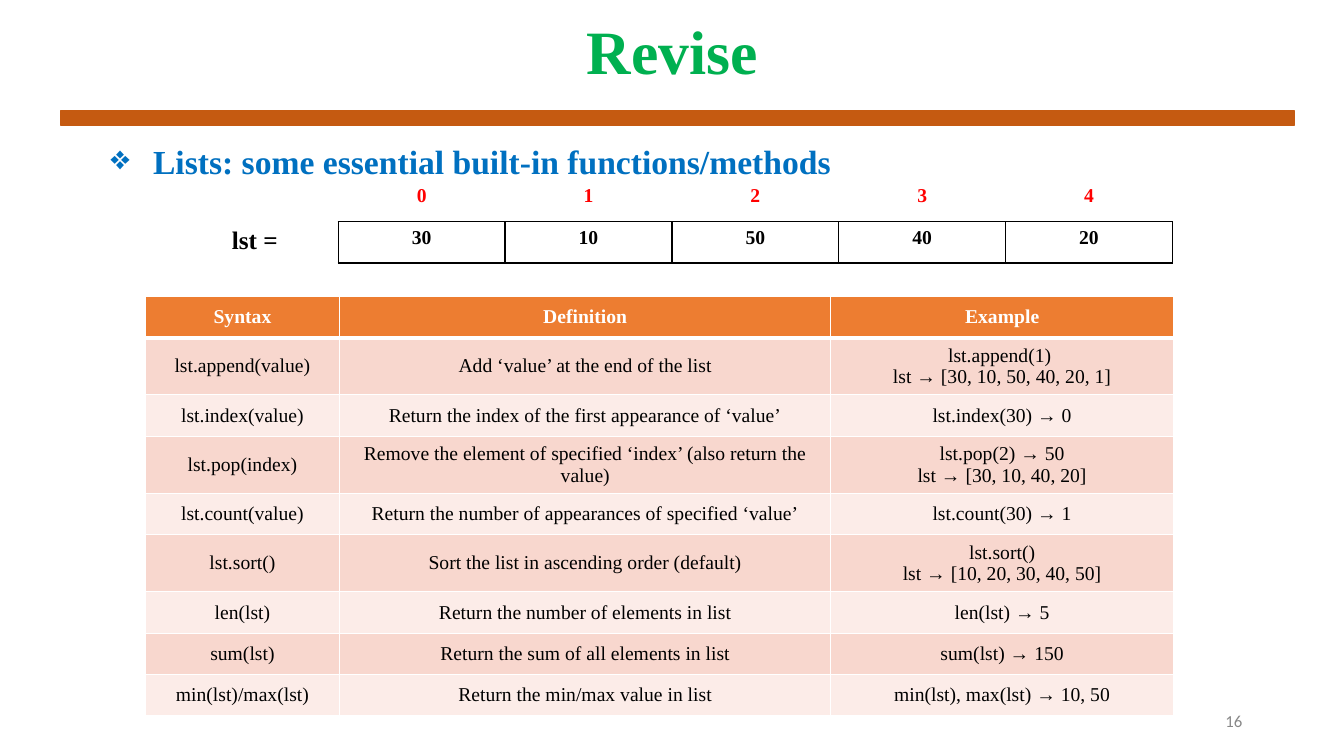
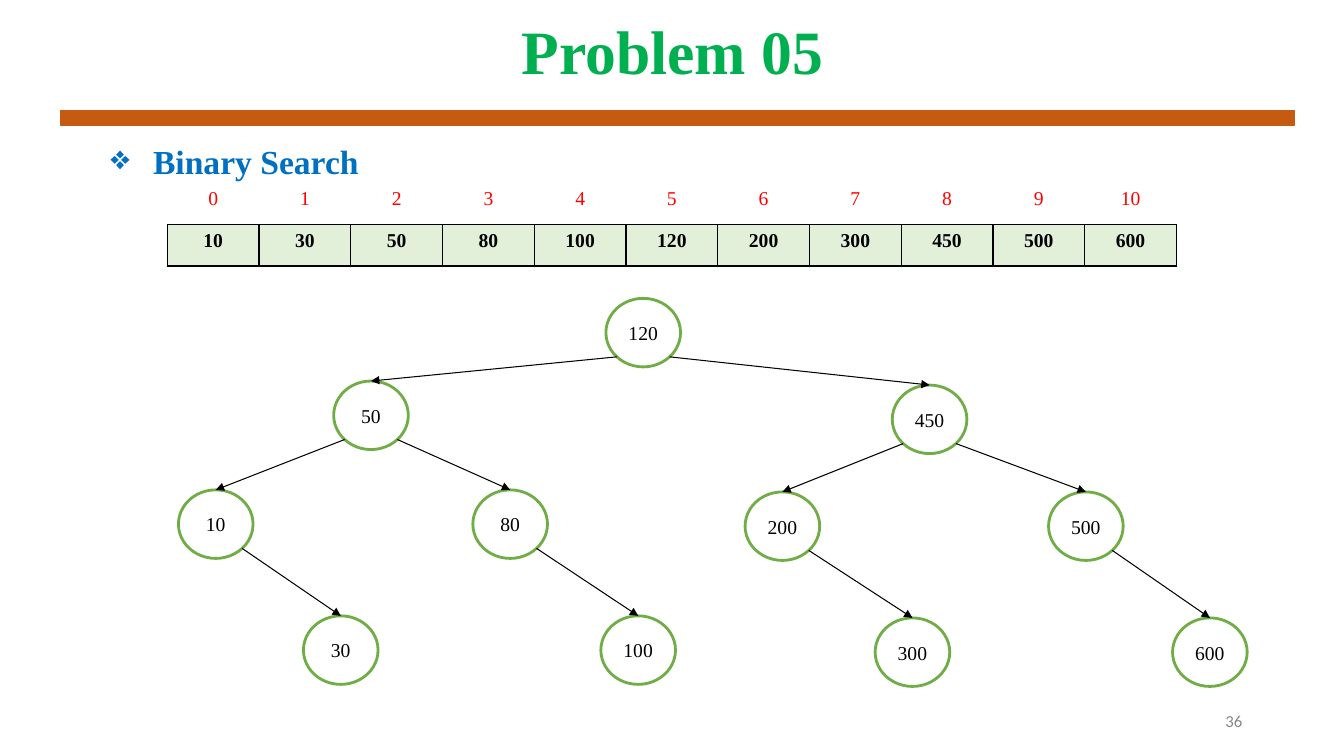
from math import sqrt
from lxml.etree import SubElement
from pptx import Presentation
from pptx.dml.color import RGBColor
from pptx.enum.shapes import MSO_CONNECTOR, MSO_SHAPE
from pptx.enum.text import MSO_ANCHOR, PP_ALIGN
from pptx.oxml.ns import qn
from pptx.util import Inches, Pt

GREEN = RGBColor(0x00, 0xB0, 0x50)
BLUE = RGBColor(0x00, 0x70, 0xC0)
RUST = RGBColor(0xC5, 0x5A, 0x11)
GREY = RGBColor(0x88, 0x88, 0x88)
RED = RGBColor(0xFF, 0x00, 0x00)
BLACK = RGBColor(0x00, 0x00, 0x00)
WHITE = RGBColor(0xFF, 0xFF, 0xFF)
ORANGE = RGBColor(0xED, 0x7D, 0x31)
BANDS = (RGBColor(0xF8, 0xD7, 0xCE), RGBColor(0xFC, 0xEC, 0xE8))
PALE_GREEN = RGBColor(0xE2, 0xF0, 0xD9)
NODE_GREEN = RGBColor(0x70, 0xAD, 0x47)
SERIF = "Times New Roman"
ROW_H = 0.41
NODE_W, NODE_H = 0.74, 0.68

LIST_VALUES = [30, 10, 50, 40, 20]
METHODS = [
    ("Syntax", "Definition", "Example"),
    ("lst.append(value)", "Add ‘value’ at the end of the list",
     "lst.append(1) \nlst → [30, 10, 50, 40, 20, 1]"),
    ("lst.index(value)", "Return the index of the first appearance of ‘value’",
     "lst.index(30) → 0"),
    ("lst.pop(index)",
     "Remove the element of specified ‘index’ (also return the value)",
     "lst.pop(2) → 50\nlst → [30, 10, 40, 20]"),
    ("lst.count(value)", "Return the number of appearances of specified ‘value’",
     "lst.count(30) → 1"),
    ("lst.sort()", "Sort the list in ascending order (default)",
     "lst.sort()\nlst → [10, 20, 30, 40, 50]"),
    ("len(lst)", "Return the number of elements in list", "len(lst) → 5"),
    ("sum(lst)", "Return the sum of all elements in list", "sum(lst) → 150"),
    ("min(lst)/max(lst)", "Return the min/max value in list",
     "min(lst), max(lst) → 10, 50"),
]
METHOD_COLS = (1.93, 4.87, 3.4)

SORTED_VALUES = [10, 30, 50, 80, 100, 120, 200, 300, 450, 500, 600]
NODES = {
    120: (6.01, 2.96),
    50: (3.31, 3.78), 450: (8.85, 3.82),
    10: (1.77, 4.86), 80: (4.69, 4.86), 200: (7.39, 4.88), 500: (10.4, 4.88),
    30: (3.01, 6.11), 100: (5.96, 6.11), 300: (8.68, 6.13), 600: (11.63, 6.13),
}
EDGES = [(120, 50), (120, 450), (50, 10), (50, 80), (450, 200), (450, 500),
         (10, 30), (80, 100), (200, 300), (500, 600)]


def write(tf, text, size, color, bold=False, align=PP_ALIGN.CENTER, font=SERIF):
    for i, line in enumerate(str(text).split("\n")):
        p = tf.add_paragraph() if i else tf.paragraphs[0]
        p.alignment = align
        r = p.add_run()
        r.text = line
        r.font.name, r.font.size, r.font.bold = font, Pt(size), bold
        r.font.color.rgb = color
    return tf.paragraphs[0]


def box(s, left, top, width, height):
    tf = s.shapes.add_textbox(
        Inches(left), Inches(top), Inches(width), Inches(height)).text_frame
    tf.word_wrap = True
    return tf


def shape(s, kind, left, top, width, height, fill, line, weight):
    sp = s.shapes.add_shape(
        kind, Inches(left), Inches(top), Inches(width), Inches(height))
    sp.shadow.inherit = False
    sp.fill.solid()
    sp.fill.fore_color.rgb = fill
    sp.line.color.rgb = line
    sp.line.width = Pt(weight)
    return sp


def base_slide(prs, title, heading, number):
    s = prs.slides.add_slide(prs.slide_layouts[5])
    t = s.shapes.title
    t.left, t.top, t.width, t.height = map(Inches, (0.92, 0, 11.5, 1.09))
    t.text_frame.vertical_anchor = MSO_ANCHOR.MIDDLE
    write(t.text_frame, title, 44, GREEN, True).line_spacing = 0.9
    shape(s, MSO_SHAPE.RECTANGLE, 0.6, 1.1, 12.24, 0.14, RUST, RUST, 1)
    tf = box(s, 9.42, 6.95, 3, 0.4)
    tf.vertical_anchor = MSO_ANCHOR.MIDDLE
    write(tf, number, 12, GREY, align=PP_ALIGN.RIGHT, font="Calibri")
    p = write(box(s, 0.92, 1.39, 11.67, 0.79), heading, 24, BLUE, True,
              PP_ALIGN.LEFT)
    p.line_spacing = 0.9
    pPr = p._p.get_or_add_pPr()
    pPr.set("marL", str(Inches(0.5)))
    pPr.set("indent", str(-Inches(0.42)))
    clr = SubElement(pPr, qn("a:buClr"))
    SubElement(clr, qn("a:srgbClr"), val=str(BLUE))
    SubElement(pPr, qn("a:buChar"), char="❖")
    return s


def add_grid(s, left, top, rows, widths):
    table = s.shapes.add_table(
        rows, len(widths), Inches(left), Inches(top),
        Inches(sum(widths)), Inches(rows * ROW_H)).table
    table.first_row = table.horz_banding = False
    for col, width in zip(table.columns, widths):
        col.width = Inches(width)
    for row in table.rows:
        row.height = Inches(ROW_H)
    return table


def set_cell(cell, fill, borders):
    if fill is None:
        cell.fill.background()
    else:
        cell.fill.solid()
        cell.fill.fore_color.rgb = fill
    tcPr = cell._tc.get_or_add_tcPr()
    for i, side in enumerate("LRTB"):
        color, weight = borders.get(side, (None, 0))
        ln = SubElement(tcPr, qn("a:ln" + side), w=str(Pt(weight)))
        if color is None:
            SubElement(ln, qn("a:noFill"))
        else:
            SubElement(SubElement(ln, qn("a:solidFill")), qn("a:srgbClr"),
                       val=str(color))
        tcPr.insert(i, ln)


def add_array(s, left, top, width, values, index_bold, fill=None, label=None):
    first = 1 if label else 0
    n = len(values) + first
    table = add_grid(s, left, top, 2, [width / n] * n)
    edge = (BLACK, 1)
    if label:
        set_cell(table.cell(0, 0), None, {})
        set_cell(table.cell(1, 0), None, {"R": edge})
        write(table.cell(1, 0).text_frame, label, 18, BLACK, True)
    for i, value in enumerate(values):
        index, item = table.cell(0, i + first), table.cell(1, i + first)
        set_cell(index, None, {"B": edge})
        set_cell(item, fill, dict.fromkeys("LRTB", edge))
        write(index.text_frame, i, 14, RED, index_bold)
        write(item.text_frame, value, 14, BLACK, True)


def add_methods(s):
    table = add_grid(s, 1.44, 2.94, len(METHODS), METHOD_COLS)
    for r, row in enumerate(METHODS):
        header = r == 0
        borders = dict.fromkeys("LRTB", (WHITE, 1))
        if header:
            borders["B"] = (WHITE, 3)
        elif r == 1:
            borders["T"] = (WHITE, 3)
        for c, text in enumerate(row):
            cell = table.cell(r, c)
            cell.vertical_anchor = MSO_ANCHOR.MIDDLE
            set_cell(cell, ORANGE if header else BANDS[(r - 1) % 2], borders)
            write(cell.text_frame, text, 14, WHITE if header else BLACK, header)


def add_node(s, value, left, top):
    sp = shape(s, MSO_SHAPE.OVAL, left, top, NODE_W, NODE_H, WHITE, NODE_GREEN, 2)
    tf = sp.text_frame
    tf.margin_left = tf.margin_right = 0
    tf.vertical_anchor = MSO_ANCHOR.MIDDLE
    write(tf, value, 14, BLACK)
    return sp


def add_edge(s, parent, child):
    right = child.left > parent.left
    reach = 1 / sqrt(8)
    x = parent.left + parent.width * (0.5 + (reach if right else -reach))
    y = parent.top + parent.height * (0.5 + reach)
    c = s.shapes.add_connector(MSO_CONNECTOR.STRAIGHT, int(x), int(y),
                               child.left + child.width // 2, child.top)
    glue = c._element.find(".//" + qn("p:cNvCxnSpPr"))
    SubElement(glue, qn("a:stCxn"), id=str(parent.shape_id),
               idx="5" if right else "3")
    c.end_connect(child, 0)
    c.line.color.rgb = BLACK
    c.line.width = Pt(0.75)
    SubElement(c.line._get_or_add_ln(), qn("a:tailEnd"), type="triangle")
    SubElement(c._element.spPr, qn("a:effectLst"))


def main():
    prs = Presentation()
    prs.slide_width, prs.slide_height = Inches(13.33), Inches(7.5)

    s = base_slide(prs, "Revise",
                   "Lists: some essential built-in functions/methods", 16)
    add_array(s, 1.7, 1.79, 9.93, LIST_VALUES, True, label="lst =")
    add_methods(s)

    s = base_slide(prs, "Problem 05", "Binary Search", 36)
    add_array(s, 1.66, 1.82, 10.01, SORTED_VALUES, False, PALE_GREEN)
    nodes = {value: add_node(s, value, *at) for value, at in NODES.items()}
    for parent, child in EDGES:
        add_edge(s, nodes[parent], nodes[child])

    prs.save("out.pptx")


if __name__ == "__main__":
    main()
